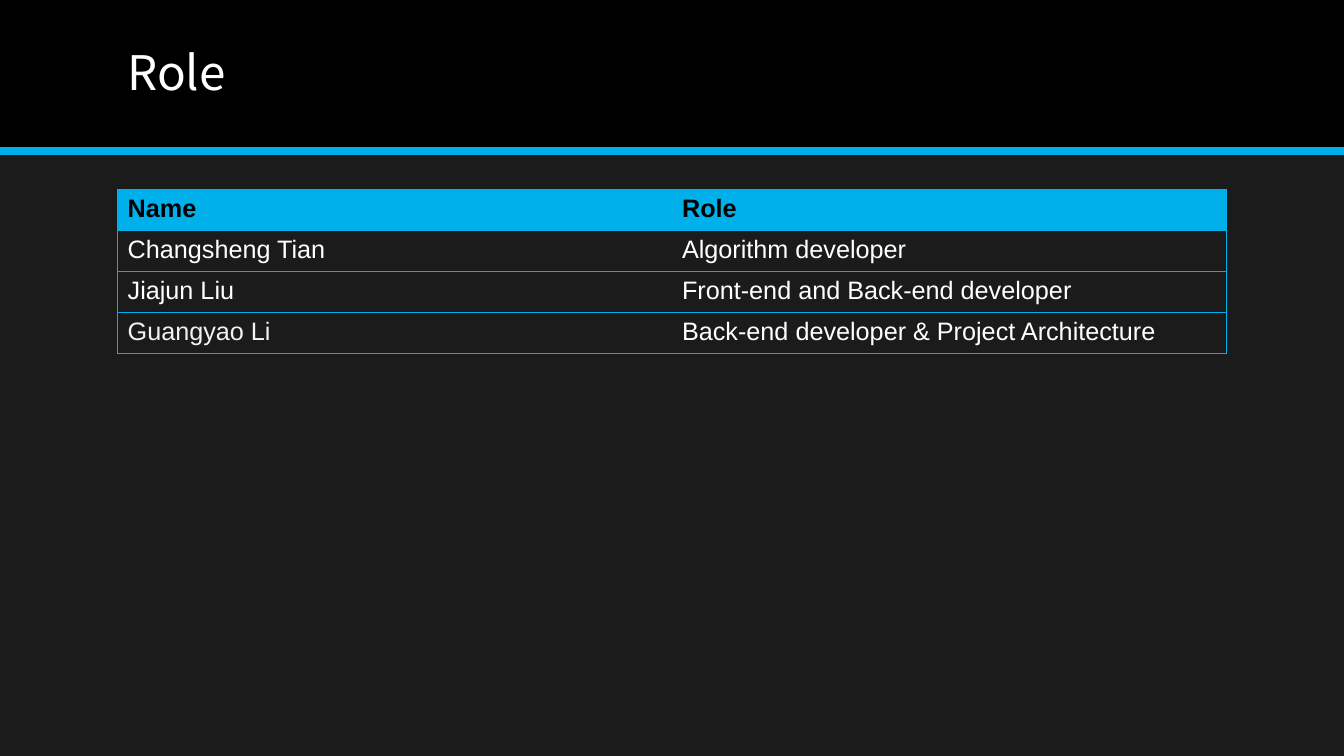
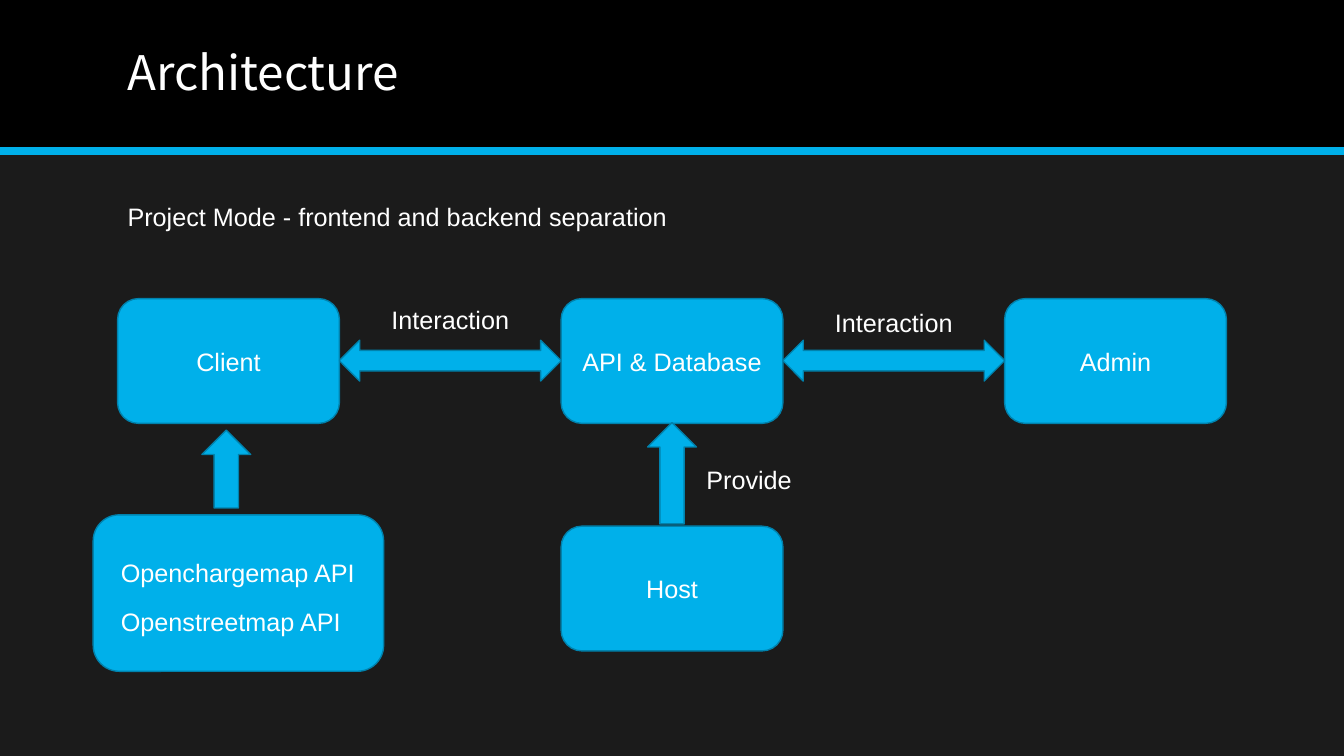
import dataclasses

import lxml.etree
import pptx
import pptx.dml.color
import pptx.enum.shapes
import pptx.enum.text
import pptx.oxml.ns
import pptx.util


@dataclasses.dataclass(frozen=True)
class Theme:
    page: str = "1B1B1B"
    band: str = "000000"
    accent: str = "00B0EA"
    edge: str = "0082AD"
    text: str = "FFFFFF"
    soft: str = "F2F2F2"
    title_font: str = "Noto Sans CJK SC"
    body_font: str = "Arial"
    title_size: float = 34
    body_size: float = 18
    rule: float = 6
    outline: float = 1
    border: float = 0.5


T = Theme()
RGB = pptx.dml.color.RGBColor.from_string
SHAPE = pptx.enum.shapes.MSO_SHAPE
ALIGN = pptx.enum.text.PP_ALIGN
ANCHOR = pptx.enum.text.MSO_ANCHOR
qn = pptx.oxml.ns.qn

prs = pptx.Presentation()
prs.slide_width = pptx.util.Inches(13.33)
prs.slide_height = pptx.util.Inches(7.5)
W, H = prs.slide_width, prs.slide_height
bg = prs.slide_master.background.fill
bg.solid()
bg.fore_color.rgb = RGB(T.page)

MARGIN = W * 0.0875
COL = W * 0.165  # five columns fill the content width
ROW = H / 100
BAND_ROWS = 20


def grid(col, row, cols, rows):
    """Turn content columns and hundredths of the height into a position and size."""
    return [int(v) for v in (MARGIN + col * COL, row * ROW, cols * COL, rows * ROW)]


def write(tf, text, align=ALIGN.LEFT, **changes):
    """Fill a text frame with one paragraph in the body style, or a changed one."""
    tf.word_wrap = True
    p = tf.paragraphs[0]
    p.alignment = align
    r = p.add_run()
    r.text = text
    style = {"name": T.body_font, "size": T.body_size, "color": T.text, "bold": False}
    style.update(changes)
    r.font.color.rgb = RGB(style.pop("color"))
    style["size"] = pptx.util.Pt(style["size"])
    for key, value in style.items():
        setattr(r.font, key, value)
    return p


# Frame shared by both slides
slides = []
for title in ("Role", "Architecture"):
    s = prs.slides.add_slide(prs.slide_layouts[6])
    band = s.shapes.add_shape(SHAPE.RECTANGLE, 0, 0, W, int(BAND_ROWS * ROW))
    band.shadow.inherit = False
    band.fill.solid()
    band.fill.fore_color.rgb = RGB(T.band)
    band.line.fill.background()

    y = int(BAND_ROWS * ROW)
    rule = s.shapes.add_connector(pptx.enum.shapes.MSO_CONNECTOR.STRAIGHT, 0, y, W, y)
    rule.line.color.rgb = RGB(T.accent)
    rule.line.width = pptx.util.Pt(T.rule)
    lxml.etree.SubElement(rule._element.spPr, qn("a:effectLst"))

    tf = s.shapes.add_textbox(*grid(0, 1.9, 5, 16)).text_frame
    tf.vertical_anchor = ANCHOR.MIDDLE
    p = write(tf, title, name=T.title_font, size=T.title_size)
    p.line_spacing = 0.9
    slides.append(s)

role, architecture = slides

# Role table
members = [
    ("Name", "Role"),
    ("Changsheng Tian", "Algorithm developer"),
    ("Jiajun Liu", "Front-end and Back-end developer"),
    ("Guangyao Li", "Back-end developer & Project Architecture"),
]
table = role.shapes.add_table(len(members), 2, *grid(0, 25.1, 5, 21.6)).table
table.horz_banding = False
for i, row in enumerate(members):
    for j, text in enumerate(row):
        cell = table.cell(i, j)
        tcPr = cell._tc.get_or_add_tcPr()
        for side in "LRTB":
            inner = (side, j) in (("R", 0), ("L", 1))
            ln = lxml.etree.SubElement(tcPr, qn("a:ln" + side))
            ln.set("w", str(pptx.util.Pt(T.border)))
            paint = lxml.etree.SubElement(ln, qn("a:noFill" if inner else "a:solidFill"))
            if not inner:
                lxml.etree.SubElement(paint, qn("a:srgbClr")).set("val", T.accent)
        header = i == 0
        if header:
            cell.fill.solid()
            cell.fill.fore_color.rgb = RGB(T.accent)
        else:
            cell.fill.background()
        last_name = i == len(members) - 1 and j == 0
        color = T.band if header else T.soft if last_name else T.text
        write(cell.text_frame, text, color=color, bold=header)

# Architecture diagram: kind, text, grid place
BOX, ACROSS, UP = SHAPE.ROUNDED_RECTANGLE, SHAPE.LEFT_RIGHT_ARROW, SHAPE.UP_ARROW
parts = [
    (BOX, "Client", (0, 39.5, 1, 16.5)),
    (BOX, "API & Database", (2, 39.5, 1, 16.5)),
    (BOX, "Admin", (4, 39.5, 1, 16.5)),
    (BOX, "Host", (2, 69.6, 1, 16.5)),
    (BOX, "", (-0.11, 68.1, 1.31, 20.7)),
    (ACROSS, "", (1, 45, 1, 5.4)),
    (ACROSS, "", (3, 45, 1, 5.4)),
    (UP, "", (2.39, 55.9, 0.22, 13.4)),
    (UP, "", (0.38, 56.9, 0.22, 10.3)),
]
for kind, text, place in parts:
    sp = architecture.shapes.add_shape(kind, *grid(*place))
    sp.shadow.inherit = False
    sp.fill.solid()
    sp.fill.fore_color.rgb = RGB(T.accent)
    sp.line.color.rgb = RGB(T.edge)
    sp.line.width = pptx.util.Pt(T.outline)
    if text:
        sp.text_frame.vertical_anchor = ANCHOR.MIDDLE
        write(sp.text_frame, text, ALIGN.CENTER)

labels = [
    ("Project Mode - frontend and backend separation", 0, 26, 2.7),
    ("Interaction", 1.19, 39.6, 0.7),
    ("Interaction", 3.19, 40, 0.7),
    ("Provide", 2.61, 60.7, 0.5),
    ("Openchargemap API", -0.03, 73.1, 1.25),
    ("Openstreetmap API", -0.03, 79.6, 1.25),
]
for text, col, row, cols in labels:
    write(architecture.shapes.add_textbox(*grid(col, row, cols, 5.4)).text_frame, text)

prs.save("out.pptx")
